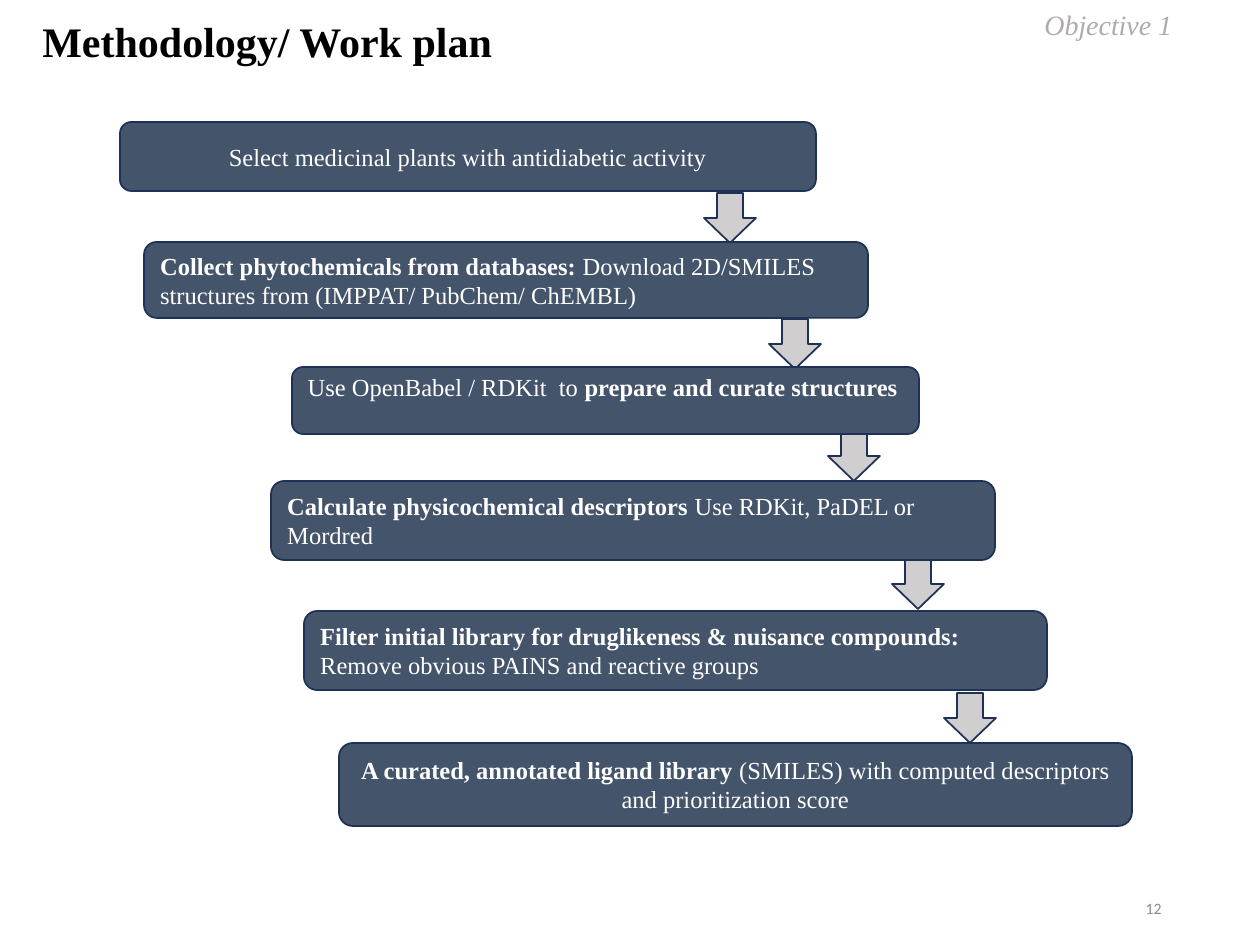
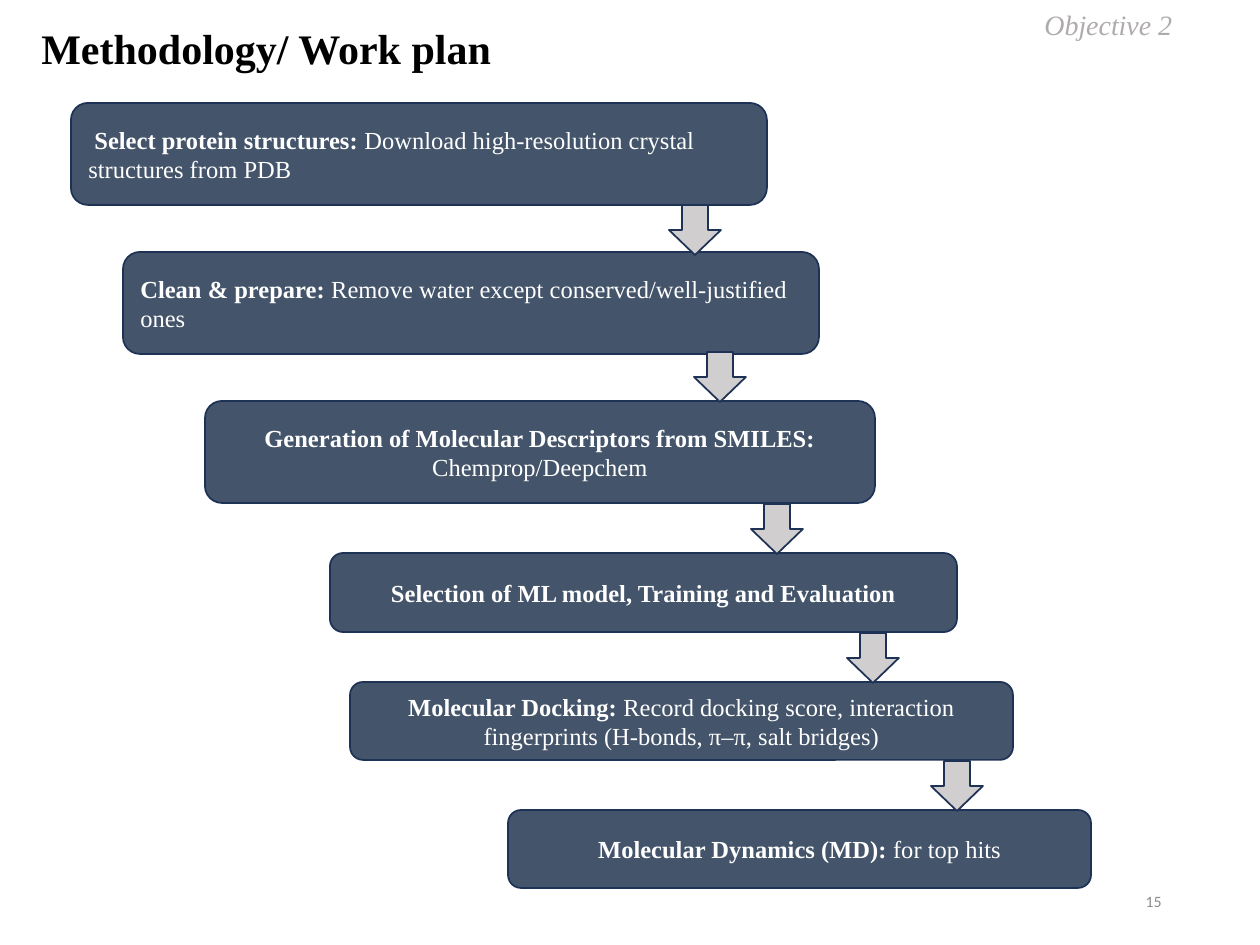
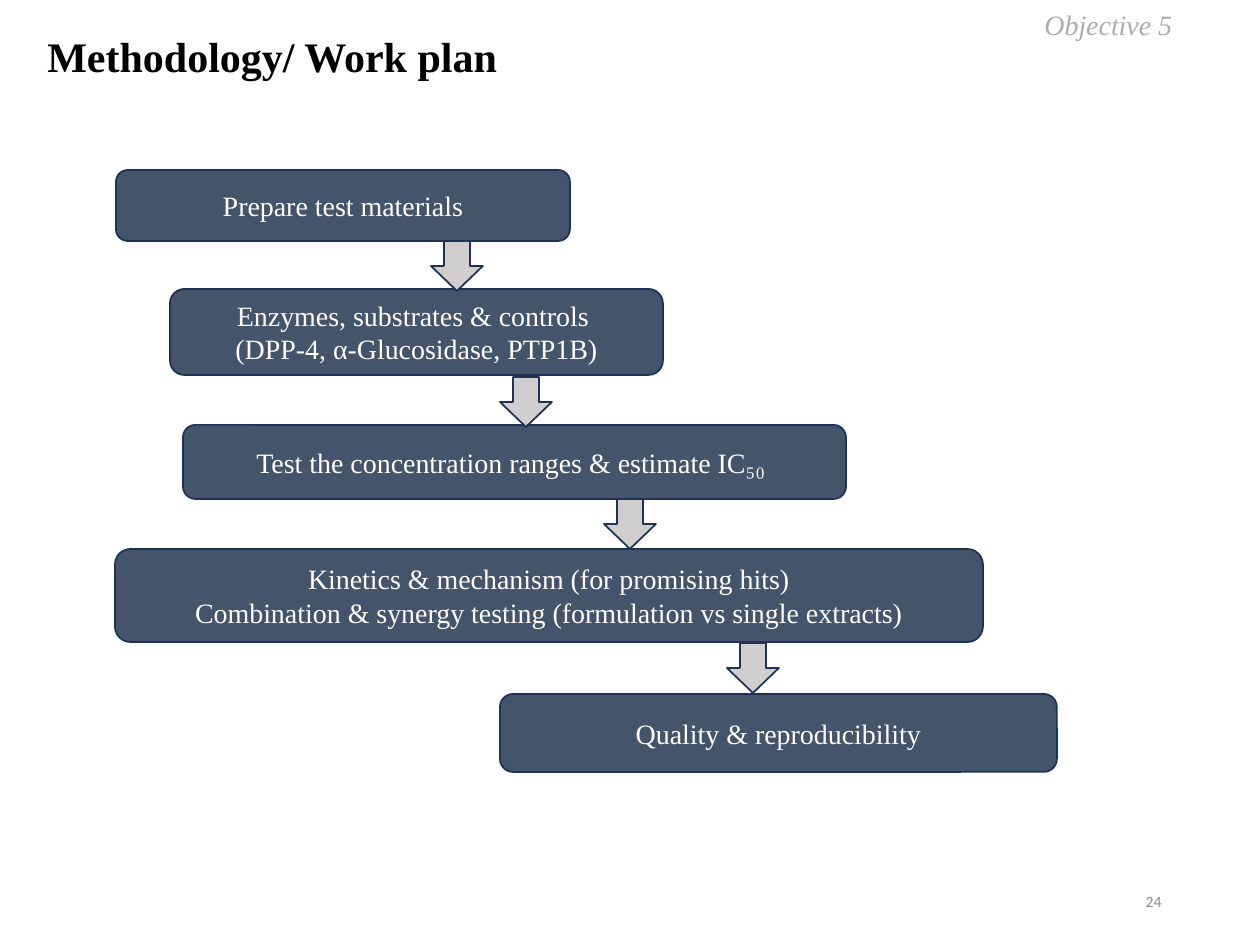
from dataclasses import dataclass

from pptx import Presentation
from pptx.dml.color import RGBColor
from pptx.enum.shapes import MSO_SHAPE as Preset
from pptx.enum.text import MSO_ANCHOR as Anchor, MSO_AUTO_SIZE as AutoSize, PP_ALIGN as Align
from pptx.shapes.autoshape import Shape
from pptx.slide import Slide
from pptx.text.text import TextFrame
from pptx.util import Emu, Pt

PX_PER_INCH = 126
EMU_PER_PX = 914400 / PX_PER_INCH
SLIDE_WIDTH, SLIDE_HEIGHT = 1260, 945
ARROW_WIDTH, ARROW_HEIGHT = 52, 50

SERIF, SANS = "Times New Roman", "Calibri"
STEP_FILL, ARROW_FILL, OUTLINE = "44546A", "D0CECE", "1E3256"
BLACK, WHITE, OBJECTIVE_GREY, NUMBER_GREY = "000000", "FFFFFF", "AFABAB", "8C8C8C"


@dataclass(frozen=True)
class Style:
    size: int
    color: str
    name: str = SERIF
    bold: bool = False
    italic: bool = False


TITLE = Style(24, BLACK, bold=True)
OBJECTIVE = Style(16, OBJECTIVE_GREY, italic=True)
NUMBER = Style(9, NUMBER_GREY, SANS)


@dataclass(frozen=True)
class Box:
    left: int
    top: int
    width: int
    height: int


@dataclass(frozen=True)
class Step:
    """A box of the work plan; **marks** surround bold words, line breaks part paragraphs."""
    box: Box
    text: str
    align: Align = Align.CENTER
    anchor: Anchor = Anchor.MIDDLE


@dataclass(frozen=True)
class WorkPlan:
    objective: int
    page: int
    title_left: int
    title_top: int
    page_top: int
    text_size: int
    steps: list[Step]
    arrows: list[tuple[int, int]]
    arrows_behind: bool = False


WORK_PLANS = [
    WorkPlan(
        1, 12, 30, 9, 883, 14,
        [
            Step(Box(120, 122, 696, 69), "Select medicinal plants with antidiabetic activity"),
            Step(Box(144, 242, 724, 76), "**Collect phytochemicals from databases: **Download 2D/SMILES "
                 "structures from (IMPPAT/ PubChem/ ChEMBL)", Align.LEFT),
            Step(Box(292, 367, 627, 67), "Use OpenBabel / RDKit  to **prepare and curate structures**",
                 Align.LEFT, Anchor.TOP),
            Step(Box(271, 481, 724, 79), "**Calculate physicochemical descriptors **Use RDKit, PaDEL or "
                 "Mordred", Align.LEFT),
            Step(Box(304, 611, 743, 79), "**Filter initial library for druglikeness & nuisance compounds: **"
                 "Remove obvious PAINS and reactive groups", Align.LEFT),
            Step(Box(339, 743, 793, 83), "**A curated, annotated ligand library **(SMILES) with computed "
                 "descriptors and prioritization score"),
        ],
        [(704, 193), (769, 319), (828, 431), (892, 559), (944, 693)],
        arrows_behind=True,
    ),
    WorkPlan(
        2, 15, 29, 16, 876, 14,
        [
            Step(Box(71, 103, 696, 102), "** Select protein structures: **Download high-resolution crystal "
                 "structures from PDB", Align.LEFT),
            Step(Box(123, 252, 696, 102), "**Clean & prepare: **Remove water except conserved/well-justified "
                 "ones", Align.LEFT),
            Step(Box(205, 401, 670, 102), "**Generation of Molecular Descriptors from SMILES: **"
                 "Chemprop/Deepchem"),
            Step(Box(330, 553, 627, 79), "**Selection of ML model, Training and Evaluation**"),
            Step(Box(350, 682, 663, 78), "**Molecular Docking: **Record docking score, interaction "
                 "fingerprints (H-bonds, π–π, salt bridges)"),
            Step(Box(508, 810, 583, 78), "**Molecular Dynamics (MD): **for top hits"),
        ],
        [(669, 205), (694, 352), (751, 504), (847, 633), (931, 761)],
    ),
    WorkPlan(
        5, 24, 35, 24, 876, 16,
        [
            Step(Box(116, 170, 454, 71), "Prepare test materials"),
            Step(Box(170, 289, 493, 86), "Enzymes, substrates & controls \n(DPP-4, α-Glucosidase, PTP1B)"),
            Step(Box(183, 425, 663, 74), "Test the concentration ranges & estimate IC₅₀ "),
            Step(Box(115, 549, 868, 93), "Kinetics & mechanism (for promising hits)\n"
                 "Combination & synergy testing (formulation vs single extracts)"),
            Step(Box(500, 694, 557, 78), "Quality & reproducibility"),
        ],
        [(431, 241), (500, 377), (604, 499), (727, 643)],
    ),
]


def px(length: int) -> Emu:
    return Emu(round(length * EMU_PER_PX))


def rgb(color: str) -> RGBColor:
    return RGBColor.from_string(color)


def place(box: Box) -> tuple[Emu, Emu, Emu, Emu]:
    return px(box.left), px(box.top), px(box.width), px(box.height)


def write(frame: TextFrame, text: str, style: Style, align: Align) -> None:
    """Fill the frame, one paragraph a line, with **marked** words in bold."""
    for index, line in enumerate(text.split("\n")):
        paragraph = frame.add_paragraph() if index else frame.paragraphs[0]
        paragraph.alignment = align
        font = paragraph.font
        font.name, font.size = style.name, Pt(style.size)
        font.bold, font.italic = style.bold, style.italic
        font.color.rgb = rgb(style.color)
        for position, words in enumerate(line.split("**")):
            if words:
                run = paragraph.add_run()
                run.text = words
                if position % 2:
                    run.font.bold = True


def add_label(slide: Slide, box: Box, text: str, style: Style) -> None:
    """Add one line of text that the frame grows to fit."""
    frame = slide.shapes.add_textbox(*place(box)).text_frame
    frame.word_wrap = False
    frame.auto_size = AutoSize.SHAPE_TO_FIT_TEXT
    write(frame, text, style, Align.LEFT)


def add_page_number(slide: Slide, top: int, page: int) -> None:
    frame = slide.shapes.add_textbox(*place(Box(890, top, 284, 50))).text_frame
    frame.word_wrap = True
    frame.vertical_anchor = Anchor.MIDDLE
    write(frame, str(page), NUMBER, Align.RIGHT)


def add_outlined(slide: Slide, preset: Preset, box: Box, fill: str) -> Shape:
    shape = slide.shapes.add_shape(preset, *place(box))
    shape.shadow.inherit = False
    shape.fill.solid()
    shape.fill.fore_color.rgb = rgb(fill)
    shape.line.color.rgb = rgb(OUTLINE)
    shape.line.width = Pt(1)
    return shape


def add_steps(slide: Slide, plan: WorkPlan) -> None:
    for step in plan.steps:
        frame = add_outlined(slide, Preset.ROUNDED_RECTANGLE, step.box, STEP_FILL).text_frame
        frame.word_wrap = True
        frame.vertical_anchor = step.anchor
        if step.anchor == Anchor.TOP:
            frame.margin_top = px(2)
        write(frame, step.text, Style(plan.text_size, WHITE), step.align)


def add_arrows(slide: Slide, plan: WorkPlan) -> None:
    for left, top in plan.arrows:
        add_outlined(slide, Preset.DOWN_ARROW, Box(left, top, ARROW_WIDTH, ARROW_HEIGHT), ARROW_FILL)


def add_work_plan(presentation: Presentation, plan: WorkPlan) -> None:
    slide = presentation.slides.add_slide(presentation.slide_layouts[6])
    add_label(slide, Box(plan.title_left, plan.title_top, 479, 63), "Methodology/ Work plan", TITLE)
    add_page_number(slide, plan.page_top, plan.page)
    add_label(slide, Box(1032, 1, 155, 47), f"Objective {plan.objective}", OBJECTIVE)
    layers = [add_arrows, add_steps] if plan.arrows_behind else [add_steps, add_arrows]
    for add_layer in layers:
        add_layer(slide, plan)


def main() -> None:
    presentation = Presentation()
    presentation.slide_width, presentation.slide_height = px(SLIDE_WIDTH), px(SLIDE_HEIGHT)
    for plan in WORK_PLANS:
        add_work_plan(presentation, plan)
    presentation.save("out.pptx")


if __name__ == "__main__":
    main()
